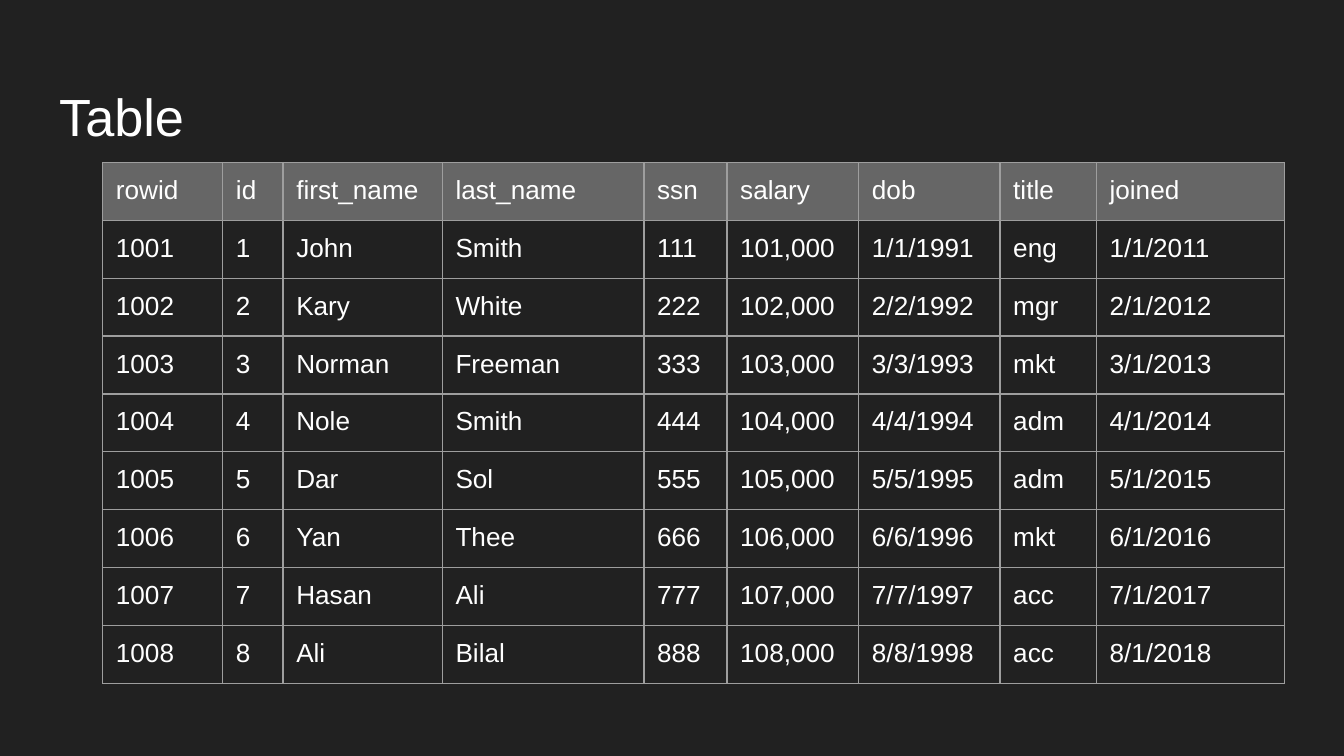
from lxml.etree import SubElement
from pptx import Presentation
from pptx.dml.color import RGBColor
from pptx.enum.text import MSO_ANCHOR
from pptx.oxml.ns import qn
from pptx.util import Cm, Pt

COLORS = {"background": "212121", "header": "666666", "border": "9E9E9E", "text": "FFFFFF"}
HEADINGS = ["rowid", "id", "first_name", "last_name", "ssn", "salary", "dob", "title", "joined"]
PEOPLE = [
    ("John", "Smith", "eng"),
    ("Kary", "White", "mgr"),
    ("Norman", "Freeman", "mkt"),
    ("Nole", "Smith", "adm"),
    ("Dar", "Sol", "adm"),
    ("Yan", "Thee", "mkt"),
    ("Hasan", "Ali", "acc"),
    ("Ali", "Bilal", "acc"),
]
COLUMN_WIDTHS = [2.27, 1.14, 3.01, 3.81, 1.57, 2.49, 2.67, 1.82, 3.56]
ROW_HEIGHT = 1.06
MARGIN = Cm(0.25)


def style_text(paragraph, size):
    paragraph.font.name = "Arial"
    paragraph.font.size = Pt(size)
    paragraph.font.color.rgb = RGBColor.from_string(COLORS["text"])


def add_borders(cell):
    properties = cell._tc.get_or_add_tcPr()
    for position, side in enumerate(("lnL", "lnR", "lnT", "lnB")):
        line = properties.makeelement(qn(f"a:{side}"), {"w": str(Pt(0.75))})
        properties.insert(position, line)
        fill = SubElement(line, qn("a:solidFill"))
        SubElement(fill, qn("a:srgbClr"), val=COLORS["border"])


presentation = Presentation()
presentation.slide_width = Cm(25.4)
presentation.slide_height = Cm(14.29)
slide = presentation.slides.add_slide(presentation.slide_layouts[6])
slide.background.fill.solid()
slide.background.fill.fore_color.rgb = RGBColor.from_string(COLORS["background"])

title = slide.shapes.add_textbox(Cm(0.87), Cm(1.24), Cm(23.67), Cm(1.6))
title_frame = title.text_frame
title_frame.word_wrap = True
title_frame.vertical_anchor = MSO_ANCHOR.TOP
title_frame.margin_left = title_frame.margin_right = MARGIN
title_frame.margin_top = Cm(0.35)
title_frame.margin_bottom = Cm(0.1)
title_frame.text = "Table"
style_text(title_frame.paragraphs[0], 28)

records = [HEADINGS]
for number, (first_name, last_name, job) in enumerate(PEOPLE, start=1):
    records.append([
        str(1000 + number), str(number), first_name, last_name, str(111 * number),
        f"{100 + number},000", f"{number}/{number}/{1990 + number}", job,
        f"{number}/1/{2010 + number}",
    ])

table_frame = slide.shapes.add_table(
    len(records), len(HEADINGS), Cm(1.94), Cm(3.07),
    Cm(sum(COLUMN_WIDTHS)), Cm(ROW_HEIGHT * len(records)),
)
table = table_frame.table
for column, width in zip(table.columns, COLUMN_WIDTHS):
    column.width = Cm(width)

for row_index, record in enumerate(records):
    table.rows[row_index].height = Cm(ROW_HEIGHT)
    for column_index, value in enumerate(record):
        cell = table.cell(row_index, column_index)
        cell.text = value
        cell.margin_left = cell.margin_right = MARGIN
        cell.margin_top = cell.margin_bottom = MARGIN
        style_text(cell.text_frame.paragraphs[0], 14)
        if row_index == 0:
            cell.text_frame.paragraphs[0].font.bold = False
            cell.fill.solid()
            cell.fill.fore_color.rgb = RGBColor.from_string(COLORS["header"])
        else:
            cell.fill.background()
        add_borders(cell)

presentation.save("out.pptx")
